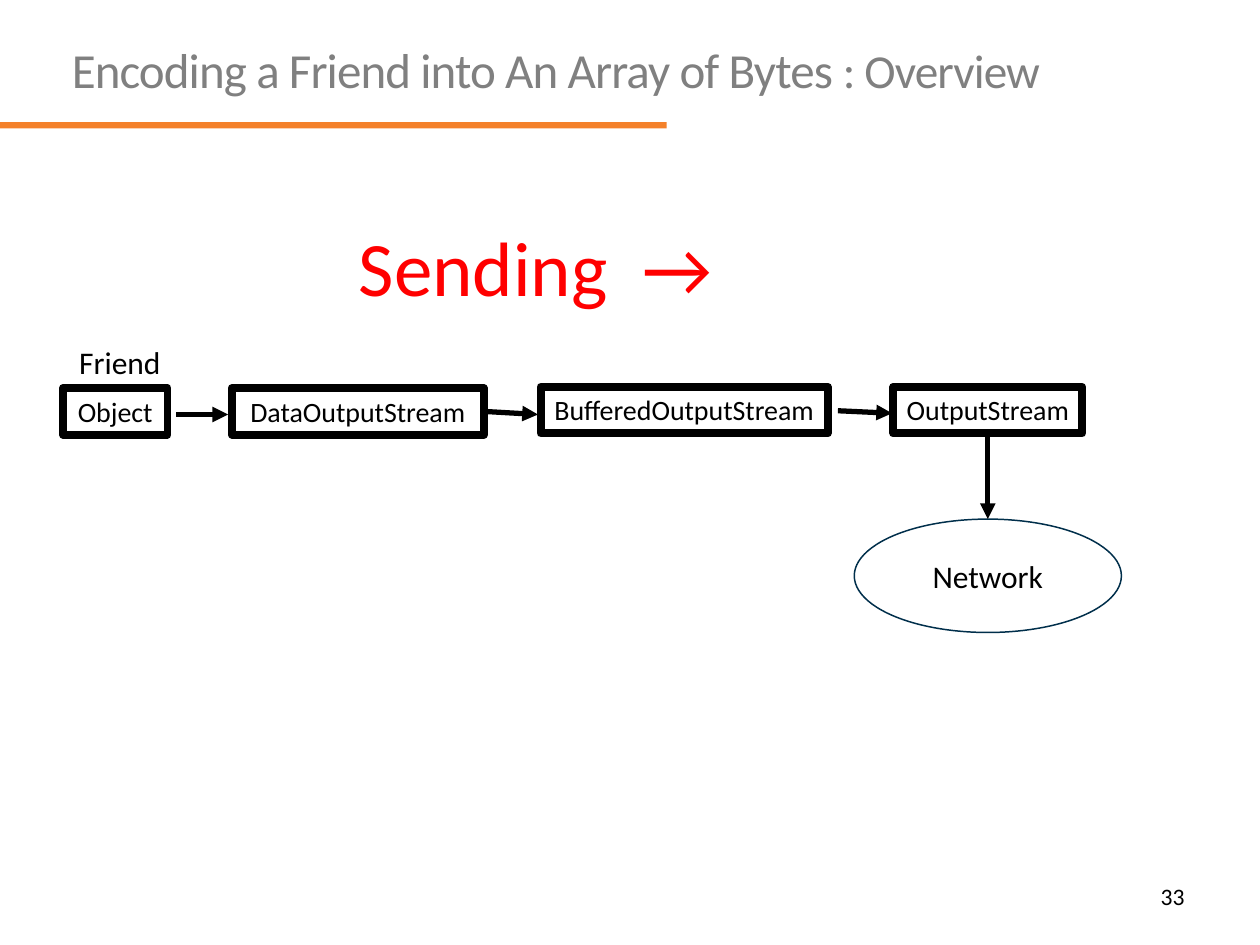
from lxml import etree
from pptx import Presentation
from pptx.dml.color import RGBColor
from pptx.enum.shapes import MSO_CONNECTOR, MSO_SHAPE
from pptx.enum.text import MSO_ANCHOR, PP_ALIGN
from pptx.oxml.ns import qn
from pptx.util import Inches, Pt

RECTANGLE = MSO_SHAPE.RECTANGLE
OVAL = MSO_SHAPE.OVAL
STRAIGHT = MSO_CONNECTOR.STRAIGHT
TOP = MSO_ANCHOR.TOP
MIDDLE = MSO_ANCHOR.MIDDLE
LEFT = PP_ALIGN.LEFT
CENTER = PP_ALIGN.CENTER
RIGHT = PP_ALIGN.RIGHT

BLACK = RGBColor(0x00, 0x00, 0x00)
GRAY = RGBColor(0x80, 0x80, 0x80)
ORANGE = RGBColor(0xF4, 0x81, 0x2A)
NAVY = RGBColor(0x00, 0x2F, 0x4B)
RED = RGBColor(0xFF, 0x00, 0x00)

FONT_NAME = "Calibri"
BOX_HEIGHT = 0.37
BOTTOM_SITE, RIGHT_SITE, TOP_SITE = 2, 3, 0


def add_run(paragraph, text, size, color, spacing=None):
    run = paragraph.add_run()
    run.text = text
    run.font.name = FONT_NAME
    run.font.size = Pt(size)
    run.font.color.rgb = color
    if spacing is not None:
        run.font._element.set("spc", str(int(spacing * 100)))


def add_text(slide, left, top, width, height, runs, alignment=LEFT):
    box = slide.shapes.add_textbox(
        Inches(left), Inches(top), Inches(width), Inches(height))
    box.text_frame.word_wrap = True
    paragraph = box.text_frame.paragraphs[0]
    paragraph.alignment = alignment
    for run in runs:
        add_run(paragraph, *run)
    return box


def add_title(slide):
    runs = [("Encoding a Friend into An Array of Bytes ", 28, GRAY, -0.5),
            (": Overview", 27, GRAY, -0.5)]
    title = add_text(slide, 0.5, 0.3, 9, 0.67, runs)
    title.text_frame.margin_left = Inches(0.07)
    title.text_frame.margin_top = Inches(0.07)
    title.text_frame.paragraphs[0].line_spacing = 0.9


def add_title_bar(slide):
    bar = slide.shapes.add_shape(
        RECTANGLE, Inches(0), Inches(0.97), Inches(5.29), Inches(0.05))
    bar.shadow.inherit = False
    bar.fill.solid()
    bar.fill.fore_color.rgb = ORANGE
    bar.line.fill.background()


def add_node(slide, kind, left, top, width, height, text, size,
             line_color, line_width, anchor):
    node = slide.shapes.add_shape(
        kind, Inches(left), Inches(top), Inches(width), Inches(height))
    node.shadow.inherit = False
    node.fill.background()
    node.line.color.rgb = line_color
    node.line.width = Pt(line_width)
    text_frame = node.text_frame
    text_frame.word_wrap = False
    text_frame.vertical_anchor = anchor
    paragraph = text_frame.paragraphs[0]
    paragraph.alignment = CENTER
    add_run(paragraph, text, size, BLACK)
    return node


def add_stream_box(slide, left, top, width, text):
    return add_node(slide, RECTANGLE, left, top, width, BOX_HEIGHT, text, 16,
                    BLACK, 4.5, TOP)


def add_arrow(slide, start_x, start_y, end_x, end_y):
    arrow = slide.shapes.add_connector(
        STRAIGHT, Inches(start_x), Inches(start_y),
        Inches(end_x), Inches(end_y))
    arrow.line.color.rgb = BLACK
    arrow.line.width = Pt(3)
    etree.SubElement(arrow.line._get_or_add_ln(), qn("a:tailEnd"),
                     type="triangle")
    etree.SubElement(arrow._element.spPr, qn("a:effectLst"))
    return arrow


def main():
    presentation = Presentation()
    presentation.slide_width = Inches(10)
    presentation.slide_height = Inches(7.5)
    slide = presentation.slides.add_slide(presentation.slide_layouts[6])

    add_title_bar(slide)
    add_title(slide)
    add_text(slide, 7.17, 6.95, 2.33, 0.4, [("33", 13.5, BLACK)], RIGHT)
    add_text(slide, 0.53, 2.67, 0.85, 0.4, [("Friend", 18, BLACK)])

    add_stream_box(slide, 0.5, 3.08, 0.83, "Object")
    data_stream = add_stream_box(slide, 1.84, 3.08, 2, "DataOutputStream")
    add_stream_box(slide, 4.29, 3.07, 2.28, "BufferedOutputStream")
    output_stream = add_stream_box(slide, 7.09, 3.07, 1.5, "OutputStream")
    network = add_node(slide, OVAL, 6.78, 4.12, 2.12, 0.9, "Network", 18,
                       NAVY, 0.85, MIDDLE)

    add_arrow(slide, 1.4, 3.29, 1.81, 3.29)
    data_arrow = add_arrow(slide, 3.84, 3.27, 4.27, 3.29)
    data_arrow.begin_connect(data_stream, RIGHT_SITE)
    add_arrow(slide, 6.65, 3.26, 7.08, 3.28)
    network_arrow = add_arrow(slide, 7.84, 3.44, 7.84, 4.12)
    network_arrow.begin_connect(output_stream, BOTTOM_SITE)
    network_arrow.end_connect(network, TOP_SITE)

    add_text(slide, 2.75, 1.69, 3.06, 0.84,
             [("Sending", 44, RED), (" ", 44, RED, 10), ("→", 44, RED)])

    presentation.save("out.pptx")


if __name__ == "__main__":
    main()
